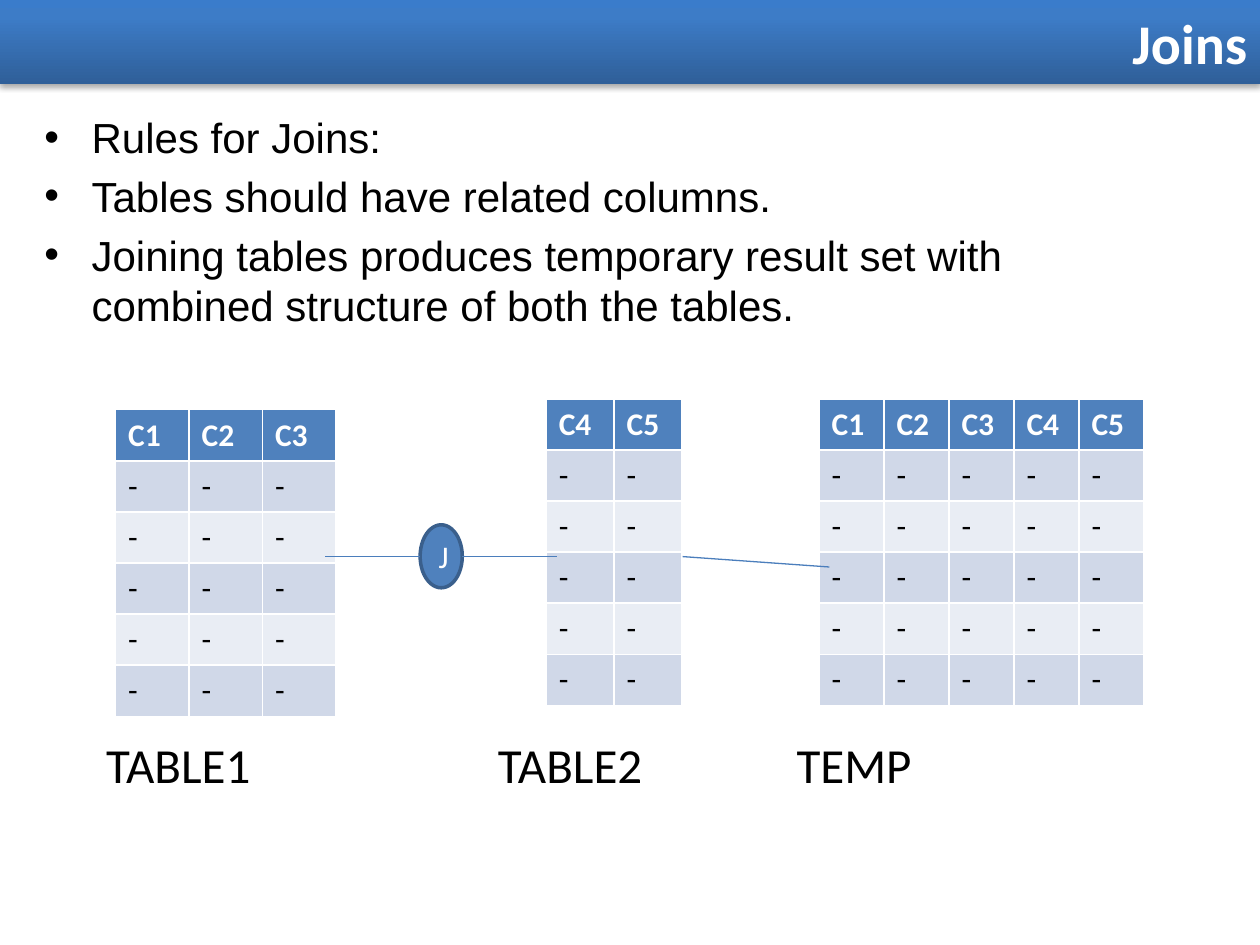
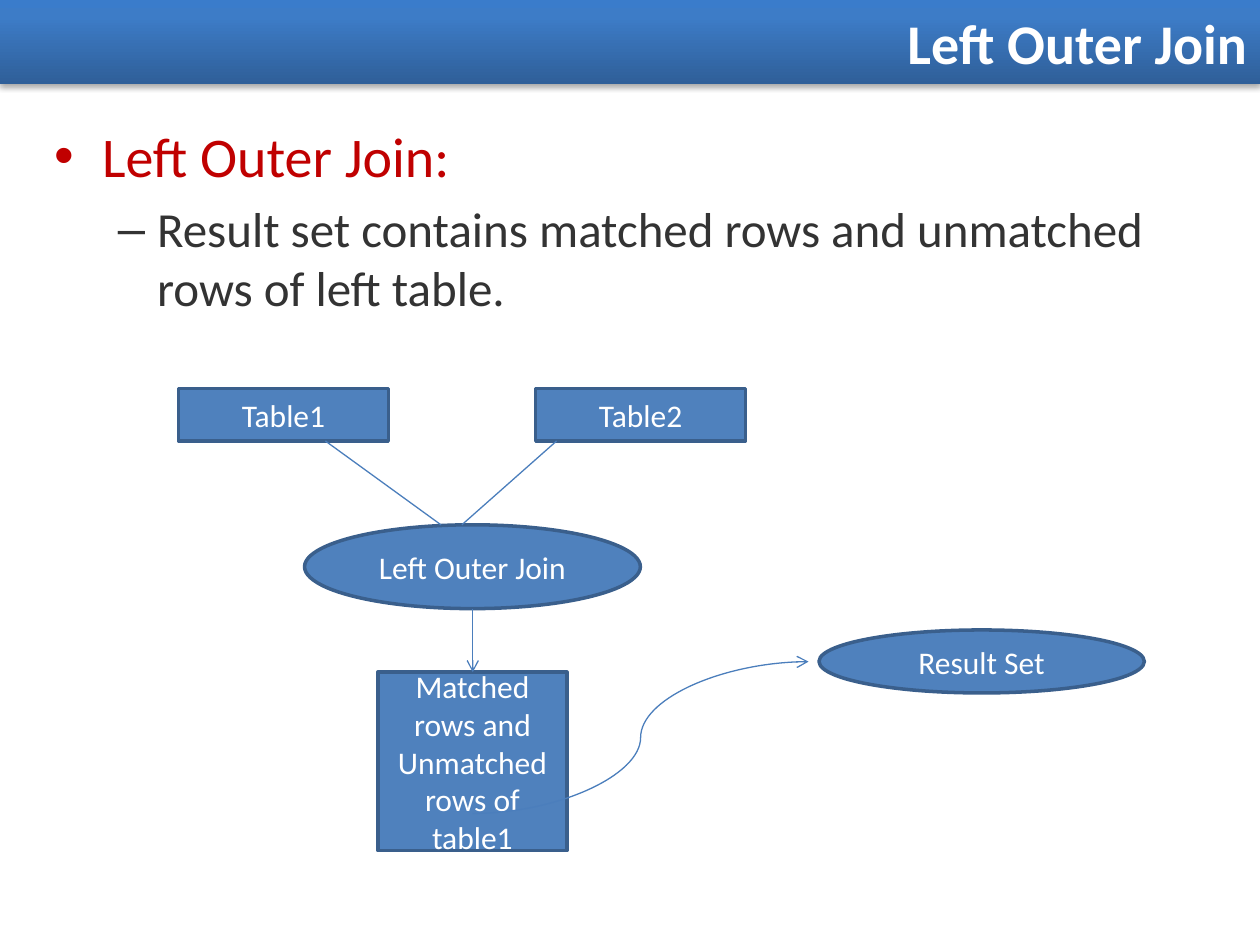
from lxml.etree import SubElement
from pptx import Presentation
from pptx.dml.color import RGBColor
from pptx.enum.shapes import MSO_CONNECTOR, MSO_SHAPE
from pptx.enum.text import MSO_ANCHOR, MSO_AUTO_SIZE, PP_ALIGN
from pptx.oxml import parse_xml
from pptx.oxml.ns import nsdecls, qn
from pptx.util import Cm, Pt

WHITE = RGBColor(0xFF, 0xFF, 0xFF)
BLACK = RGBColor(0x00, 0x00, 0x00)
GREY = RGBColor(0x33, 0x33, 0x33)
RED = RGBColor(0xC0, 0x00, 0x00)
BLUE = RGBColor(0x4F, 0x81, 0xBD)
OUTLINE = RGBColor(0x3A, 0x5F, 0x8C)
LINE = RGBColor(0x4B, 0x7E, 0xBC)
BAND_DARK = RGBColor(0xD0, 0xD8, 0xE8)
BAND_LIGHT = RGBColor(0xE9, 0xED, 0xF4)

TITLE_GRADIENT = f"""<a:gradFill {nsdecls("a")} rotWithShape="1"><a:gsLst>
<a:gs pos="0"><a:srgbClr val="2F5F99"/></a:gs>
<a:gs pos="80000"><a:srgbClr val="3D7CC7"/></a:gs>
<a:gs pos="100000"><a:srgbClr val="3A7CCB"/></a:gs>
</a:gsLst><a:lin ang="16200000" scaled="0"/></a:gradFill>"""
TITLE_SHADOW = f"""<a:effectLst {nsdecls("a")}>
<a:outerShdw blurRad="40000" dist="23000" dir="5400000" rotWithShape="0">
<a:srgbClr val="000000"><a:alpha val="35000"/></a:srgbClr>
</a:outerShdw></a:effectLst>"""


def draw_node(page, kind, text, left, top, width, height):
    node = page.shapes.add_shape(kind, Cm(left), Cm(top), Cm(width), Cm(height))
    node.shadow.inherit = False
    node.fill.solid()
    node.fill.fore_color.rgb = BLUE
    node.line.color.rgb = OUTLINE
    node.line.width = Pt(2)
    frame = node.text_frame
    frame.word_wrap = True
    frame.vertical_anchor = MSO_ANCHOR.MIDDLE
    para = frame.paragraphs[0]
    para.text = text
    para.alignment = PP_ALIGN.CENTER
    para.font.name = "Calibri"
    para.font.size = Pt(18)
    para.font.color.rgb = WHITE


def draw_line(page, start, end, kind=MSO_CONNECTOR.STRAIGHT, arrow=False):
    points = [Cm(value) for value in start + end]
    connector = page.shapes.add_connector(kind, *points)
    connector.line.color.rgb = LINE
    connector.line.width = Pt(0.75)
    if arrow:
        SubElement(connector.line._get_or_add_ln(), qn("a:tailEnd"), type="arrow")
    SubElement(connector._element.spPr, qn("a:effectLst"))


deck = Presentation()
deck.slide_width = Cm(25.4)
deck.slide_height = Cm(19.05)

contents = [
    ("Joins", (0.64, 2.12, 23.5, 14.82), [
        ("Rules for Joins:", 0, "Arial", 24, BLACK),
        ("Tables should have related columns.", 0, "Arial", 24, BLACK),
        ("Joining tables produces temporary result set with combined structure "
         "of both the tables.", 0, "Arial", 24, BLACK),
    ]),
    ("Left Outer Join", (0.85, 2.33, 23.28, 14.69), [
        ("Left Outer Join:", 0, "Calibri", 32, RED),
        ("Result set contains matched rows and unmatched rows of left table.",
         1, "Calibri", 28, GREY),
    ]),
]

pages = []
for heading, body_place, items in contents:
    page = deck.slides.add_slide(deck.slide_layouts[1])
    pages.append(page)

    title = page.shapes.title
    title.left, title.top, title.width, title.height = 0, 0, deck.slide_width, Cm(1.69)
    title._element.spPr.append(parse_xml(TITLE_GRADIENT))
    title._element.spPr.append(parse_xml(TITLE_SHADOW))
    title.text_frame.auto_size = MSO_AUTO_SIZE.NONE
    title.text_frame.vertical_anchor = MSO_ANCHOR.MIDDLE
    para = title.text_frame.paragraphs[0]
    para.text = heading
    para.alignment = PP_ALIGN.RIGHT
    para.font.name = "Calibri"
    para.font.size = Pt(32)
    para.font.bold = True
    para.font.color.rgb = WHITE

    body = page.placeholders[1]
    body.left, body.top, body.width, body.height = [Cm(value) for value in body_place]
    frame = body.text_frame
    frame.auto_size = MSO_AUTO_SIZE.NONE
    for index, (text, level, font, size, colour) in enumerate(items):
        para = frame.add_paragraph() if index else frame.paragraphs[0]
        para.text = text
        para.level = level
        if index == 0:
            para.space_before = Pt(0)
        para.font.name = font
        para.font.size = Pt(size)
        para.font.color.rgb = colour

joins_page, outer_page = pages

ROW_COUNT = 6
ROW_HEIGHT = 1.03
tables = [
    ("TABLE1", 2.14, ["C1", "C2", "C3"], 2.33, 8.26, 1.48),
    ("TABLE2", 10.04, ["C4", "C5"], 11.01, 8.04, 1.37),
    ("TEMP", 16.06, ["C1", "C2", "C3", "C4", "C5"], 16.51, 8.04, 1.31),
]
for label, label_left, headers, left, top, column_width in tables:
    table = joins_page.shapes.add_table(
        ROW_COUNT, len(headers), Cm(left), Cm(top),
        Cm(column_width * len(headers)), Cm(ROW_HEIGHT * ROW_COUNT)).table
    for column in table.columns:
        column.width = Cm(column_width)
    for row_index in range(ROW_COUNT):
        table.rows[row_index].height = Cm(ROW_HEIGHT)
        is_header = row_index == 0
        band = BAND_DARK if row_index % 2 else BAND_LIGHT
        for column_index, header in enumerate(headers):
            cell = table.cell(row_index, column_index)
            cell.fill.solid()
            cell.fill.fore_color.rgb = BLUE if is_header else band
            para = cell.text_frame.paragraphs[0]
            para.text = header if is_header else "-"
            para.font.name = "Calibri"
            para.font.size = Pt(18)
            para.font.bold = is_header
            para.font.color.rgb = WHITE if is_header else BLACK

    box = joins_page.shapes.add_textbox(Cm(label_left), Cm(14.8), Cm(4), Cm(1.2))
    frame = box.text_frame
    frame.word_wrap = True
    frame.margin_left = frame.margin_right = frame.margin_top = frame.margin_bottom = 0
    para = frame.paragraphs[0]
    para.text = label
    para.font.name = "Calibri"
    para.font.size = Pt(28)
    para.font.color.rgb = BLACK

draw_node(joins_page, MSO_SHAPE.OVAL, "J", 8.47, 10.58, 0.85, 1.27)
draw_line(joins_page, (6.56, 11.22), (8.47, 11.22))
draw_line(joins_page, (9.31, 11.22), (11.22, 11.22))
draw_line(joins_page, (13.76, 11.22), (16.72, 11.43))

for text, left in [("Table1", 3.6), ("Table2", 10.8)]:
    draw_node(outer_page, MSO_SHAPE.RECTANGLE, text, left, 7.83, 4.23, 1.06)
draw_node(outer_page, MSO_SHAPE.OVAL, "Left Outer Join", 6.14, 10.58, 6.77, 1.69)
draw_node(outer_page, MSO_SHAPE.RECTANGLE, "Matched rows and Unmatched rows of table1",
          7.62, 13.55, 3.81, 3.6)
draw_node(outer_page, MSO_SHAPE.OVAL, "Result Set", 16.51, 12.7, 6.56, 1.27)
draw_line(outer_page, (6.56, 8.89), (8.89, 10.58))
draw_line(outer_page, (11.22, 8.89), (9.31, 10.58))
draw_line(outer_page, (9.53, 12.28), (9.53, 13.55), arrow=True)
draw_line(outer_page, (9.53, 16.4), (16.3, 13.34), MSO_CONNECTOR.CURVE, arrow=True)

deck.save("out.pptx")
